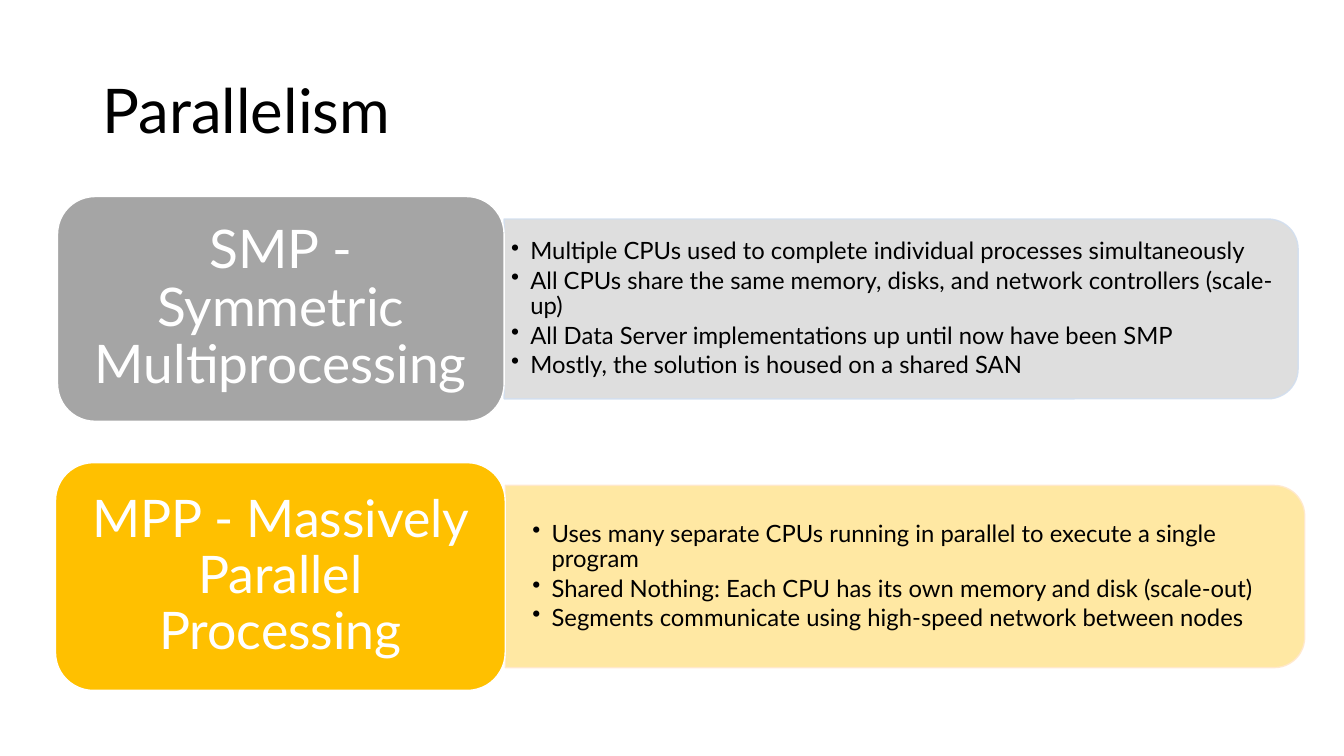
from lxml import etree
from pptx import Presentation
from pptx.dml.color import RGBColor
from pptx.enum.shapes import MSO_SHAPE
from pptx.enum.text import MSO_ANCHOR, PP_ALIGN
from pptx.oxml.ns import qn
from pptx.util import Inches, Pt

ROUNDED = MSO_SHAPE.ROUNDED_RECTANGLE
ROUNDED_END = MSO_SHAPE.ROUND_2_SAME_RECTANGLE
MIDDLE = MSO_ANCHOR.MIDDLE
LEFT, CENTER = PP_ALIGN.LEFT, PP_ALIGN.CENTER

THEME = {
    "font": "Lato",
    "ink": "000000",
    "paper": "FFFFFF",
    "title_size": 44,
    "bullet_size": 17,
    "opacity": 90,
    "outline": 1,
}

MODELS = [
    {
        "label": "SMP - Symmetric Multiprocessing",
        "place": (4.28, 26, 33.23, 29.73),
        "size": 38,
        "fill": "A5A5A5",
        "panel": "DBDBDB",
        "edge": "D2DEEF",
        "insets": (0.07, 0.04),
        "points": [
            "Multiple CPUs used to complete individual processes simultaneously",
            "All CPUs share the same memory, disks, and network controllers (scale-up)",
            "All Data Server implementations up until now have been SMP",
            "Mostly, the solution is housed on a shared SAN",
        ],
    },
    {
        "label": "MPP - Massively Parallel Processing",
        "place": (4.13, 61.2, 33.46, 30.13),
        "size": 37,
        "fill": "FFC000",
        "panel": "FFE699",
        "edge": "FFE8CC",
        "insets": (0.27, 0.14),
        "points": [
            "Uses many separate CPUs running in parallel to execute a single program",
            "Shared Nothing: Each CPU has its own memory and disk (scale-out)",
            "Segments communicate using high-speed network between nodes",
        ],
    },
]


def write(box, lines, size, color, align=LEFT, insets=(0.1, 0.05), bullet=False):
    frame = box.text_frame
    frame.word_wrap = True
    frame.vertical_anchor = MIDDLE
    frame.margin_left = frame.margin_right = Inches(insets[0])
    frame.margin_top = frame.margin_bottom = Inches(insets[1])
    for index, line in enumerate(lines):
        para = frame.add_paragraph() if index else frame.paragraphs[0]
        if bullet:
            properties = para._p.get_or_add_pPr()
            properties.set("marL", str(Inches(0.19)))
            properties.set("indent", str(-Inches(0.19)))
            etree.SubElement(properties, qn("a:buChar"), char="•")
            para.space_after = Pt(2.5)
        para.alignment = align
        para.line_spacing = 0.9
        span = para.add_run()
        span.text = line
        span.font.name = THEME["font"]
        span.font.size = Pt(size)
        span.font.color.rgb = RGBColor.from_string(color)


def paint(shape, fill, edge, opacity=100):
    shape.shadow.inherit = False
    shape.fill.solid()
    shape.fill.fore_color.rgb = RGBColor.from_string(fill)
    shape.line.color.rgb = RGBColor.from_string(edge)
    shape.line.width = Pt(THEME["outline"])
    if opacity < 100:
        for color in shape._element.spPr.iter(qn("a:srgbClr")):
            etree.SubElement(color, qn("a:alpha"), val=str(opacity * 1000))


deck = Presentation()
deck.slide_width, deck.slide_height = Inches(13.33), Inches(7.5)
column, row = deck.slide_width / 100, deck.slide_height / 100
page = deck.slides.add_slide(deck.slide_layouts[6])

title = page.shapes.add_textbox(
    int(6.9 * column), int(5.33 * row), int(86.25 * column), int(19.33 * row))
write(title, ["Parallelism"], THEME["title_size"], THEME["ink"])

for model in MODELS:
    left, top, width, height = model["place"]
    left, width = int(left * column), int(width * column)
    top, height = int(top * row), int(height * row)
    join, middle = left + width, top + height // 2
    length, depth = int(width * 16 / 9), int(height * 0.8)

    panel = page.shapes.add_shape(
        ROUNDED_END, join + (length - depth) // 2, middle - length // 2, depth, length)
    panel.rotation = 90
    paint(panel, model["panel"], model["edge"], THEME["opacity"])

    text_height = int(depth * 0.9)
    details = page.shapes.add_textbox(
        join, middle - text_height // 2, int(length * 0.99), text_height)
    write(details, model["points"], THEME["bullet_size"], THEME["ink"],
          insets=model["insets"], bullet=True)

    label = page.shapes.add_shape(ROUNDED, left, top, width, height)
    paint(label, model["fill"], THEME["paper"])
    write(label, [model["label"]], model["size"], THEME["paper"], CENTER, (0.15, 0.08))

deck.save("out.pptx")
